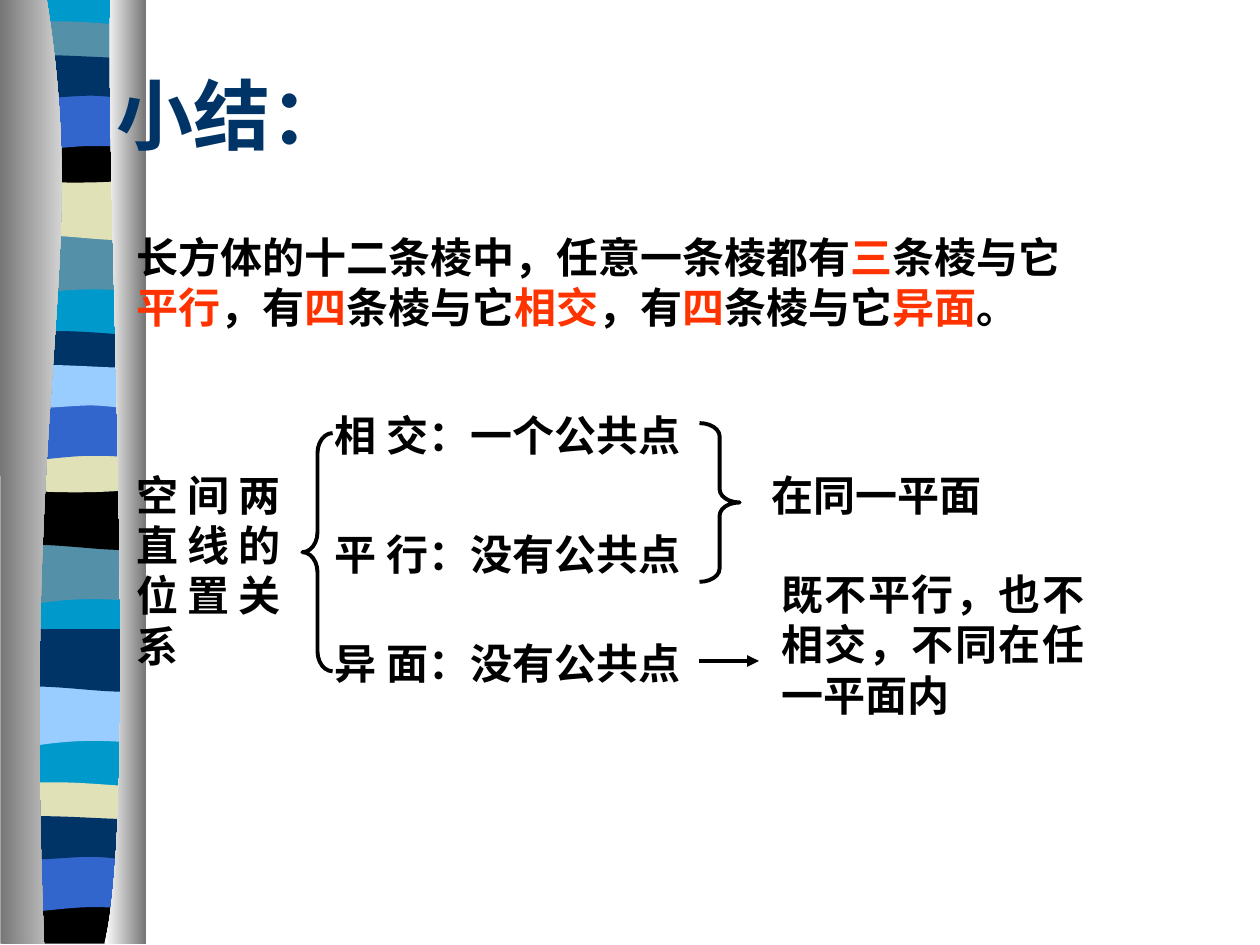
"""Builds the summary slide on the positions of two lines in space."""
from typing import NamedTuple

from lxml import etree
from pptx import Presentation
from pptx.dml.color import RGBColor
from pptx.enum.shapes import MSO_CONNECTOR, MSO_SHAPE
from pptx.enum.text import MSO_ANCHOR, MSO_AUTO_SIZE, PP_ALIGN
from pptx.oxml.ns import qn
from pptx.util import Pt

LEFT, JUSTIFY = PP_ALIGN.LEFT, PP_ALIGN.JUSTIFY
TOP, MIDDLE = MSO_ANCHOR.TOP, MSO_ANCHOR.MIDDLE
LEFT_BRACE, RIGHT_BRACE = MSO_SHAPE.LEFT_BRACE, MSO_SHAPE.RIGHT_BRACE
STRAIGHT = MSO_CONNECTOR.STRAIGHT
TITLE_ONLY = 5

FONT = "Times New Roman"
BLACK = RGBColor(0x00, 0x00, 0x00)
WHITE = RGBColor(0xFF, 0xFF, 0xFF)
GREY = RGBColor(0x76, 0x76, 0x76)
RED = RGBColor(0xFF, 0x33, 0x00)
NAVY = RGBColor(0x00, 0x33, 0x66)
BLUE = RGBColor(0x33, 0x66, 0xCC)
SKY = RGBColor(0x99, 0xCC, 0xFF)
CYAN = RGBColor(0x00, 0x99, 0xCC)
TEAL = RGBColor(0x54, 0x90, 0xA8)
SAND = RGBColor(0xE1, 0xE1, 0xB7)

RIBBON_X, RIBBON_W = 3.6, 78.5
UNITS = 100


class Band(NamedTuple):
    outline: list
    top: float
    color: RGBColor


class Label(NamedTuple):
    text: str
    x: float
    y: float
    w: float
    h: float


class Brace(NamedTuple):
    kind: int
    x: float
    y: float
    w: float
    h: float
    bend: float


W = RIBBON_W
SWELL = [[(W, 0)], [(W, 33.8)], [(24.5, 28.1), (13, 39.6), (0, 33.8)], [(0, 0)]]
ROLL = [[(W, 0)], [(W, 34)], [(65.5, 39.6), (24.5, 29.5), (0, 34)], [(0, 0)]]
LENS = [[(W, 3.6)], [(W, 20.9)], [(65.5, 24.5), (13, 24.5), (0, 20.9)], [(0, 3.6)],
        [(5, 0), (17.3, 0.7), (30.2, 0.7)], [(43.2, 0.7), (68.4, 2.9), (W, 3.6)]]
BOWL = [[(W, 0)], [(W, 23.8)], [(65.5, 27.4), (13.7, 27.4), (0, 23.8)], [(0, 0)],
        [(47.5, 3.6), (62.6, 0), (W, 0)]]
FOOT = [[(W, 0)], [(W, 26.6)], [(1, 26.6)], [(0, 0)], [(47.5, 3.6), (62.6, 0), (W, 0)]]
ARCH = [[(W, 0)], [(W, 33.8)], [(66.2, 30.2), (61.2, 30.2), (48.2, 30.2)],
        [(35.3, 30.2), (12.2, 33.8), (0, 33.8)], [(0, 0)]]
RIPPLE = [[(W, 3.6)], [(W, 25.2)], [(73.4, 28.8), (61.2, 25.2), (48.2, 25.2)],
          [(35.3, 25.2), (8.6, 28.8), (0, 25.2)], [(0, 3.6)],
          [(11.5, 0), (53.3, 3.6), (66.2, 3.6)], [(79.2, 3.6), (76, 3.6), (W, 3.6)]]
BACKING = [[(W, 0)], [(W, 538.6)], [(0, 538.6)], [(0, 0)]]

OFFSETS = [133.2, 101.5, 11.5, 77.8, 53.3, 29.5]
CYCLES = [
    (BOWL, [0] * 6, [TEAL, SAND, TEAL, BLACK, BLUE, NAVY]),
    (BOWL, [177] * 6, [TEAL, BLACK, NAVY, SAND, BLUE, SKY]),
    (FOOT, [258] * 2 + [434.9] * 4, [SKY, NAVY, SAND, BLACK, BLUE, NAVY]),
]
BANDS = [Band(BACKING, -0.7, CYAN)] + [
    Band(shape, offset + shift, color)
    for bowl, shifts, colors in CYCLES
    for shape, offset, shift, color in zip(
        [SWELL, ROLL, LENS, bowl, ARCH, RIPPLE], OFFSETS, shifts, colors)
]
LEFT_PANEL = [[(26.6, -0.7)], [(51.8, 155.5), (12.2, 213.1), (25.2, 539.3)],
              [(0.3, 539.3)], [(0, -0.7)]]
RIGHT_PANEL = [[(63.2, -0.7)], [(59.6, 90), (79.9, 465.1), (59.6, 539.3)],
               [(83.3, 539.3)], [(83.3, 0)]]

LABELS = [
    Label("空间两直线的位置关系", 71, 264.5, 96.5, 96.5),
    Label("相 交：一个公共点", 184.3, 230.4, 221, 45.4),
    Label("平 行：没有公共点", 184.3, 298.5, 215.3, 33.8),
    Label("异 面：没有公共点", 184.3, 360.7, 215.3, 39.6),
    Label("在同一平面", 433.8, 264.5, 147.6, 33.8),
    Label("既不平行，也不相交，不同在任一平面内", 439.5, 321.2, 187.2, 96.5),
]
BRACES = [
    Brace(LEFT_BRACE, 172.8, 247.5, 17.3, 136.1, 0.66),
    Brace(RIGHT_BRACE, 399.7, 241.8, 23, 90.7, 0.33),
]
SUMMARY = [
    ("长方体的十二条棱中，任意一条棱都有", BLACK), ("三", RED), ("条棱与它", BLACK),
    ("平行", RED), ("，有", BLACK), ("四", RED), ("条棱与它", BLACK), ("相交", RED),
    ("，有", BLACK), ("四", RED), ("条棱与它", BLACK), ("异面", RED), ("。", BLACK),
]


def add_outline(s, outline: list, x: float = 0, y: float = 0):
    """Draw a closed borderless outline; a step of three points is a Bezier curve."""
    pts = [((x + px) * UNITS, (y + py) * UNITS) for step in outline for px, py in step]
    fb = s.shapes.build_freeform(*pts[0], scale=Pt(1) / UNITS)
    fb.add_line_segments(pts[1:], close=True)
    sp = fb.convert_to_shape()
    lines = iter(list(sp.element.iter(qn("a:lnTo"))))
    for step in outline[1:]:
        first, *rest = [next(lines) for _ in step]
        if rest:
            curve = etree.Element(qn("a:cubicBezTo"))
            first.addprevious(curve)
            for line in (first, *rest):
                curve.append(line[0])
                line.getparent().remove(line)
    sp.shadow.inherit = False
    sp.line.fill.background()
    return sp


def add_panel(s, outline: list, start: RGBColor, end: RGBColor) -> None:
    """Draw a panel shaded from left to right."""
    fill = add_outline(s, outline).fill
    fill.gradient()
    fill.gradient_angle = 0
    for stop, color in zip(fill.gradient_stops, (start, end)):
        stop.color.rgb = color


def write(sp, runs: list, *, size: float = 24, align=JUSTIFY, anchor=TOP) -> None:
    """Fill a shape with one paragraph of bold coloured runs."""
    tf = sp.text_frame
    tf.word_wrap = True
    tf.auto_size = MSO_AUTO_SIZE.NONE
    tf.vertical_anchor = anchor
    p = tf.paragraphs[0]
    p.alignment = align
    for text, color in runs:
        r = p.add_run()
        r.text = text
        r.font.name, r.font.size, r.font.bold = FONT, Pt(size), True
        r.font.color.rgb = color


def add_brace(s, brace: Brace) -> None:
    """Draw a curly brace."""
    sp = s.shapes.add_shape(brace.kind, *map(Pt, brace[1:5]))
    sp.adjustments[0] = brace.bend
    sp.shadow.inherit = False
    sp.fill.background()
    sp.line.color.rgb, sp.line.width = BLACK, Pt(2.25)


def add_arrow(s, x1: float, y1: float, x2: float, y2: float) -> None:
    """Draw a straight arrow."""
    sp = s.shapes.add_connector(STRAIGHT, Pt(x1), Pt(y1), Pt(x2), Pt(y2))
    sp.line.color.rgb, sp.line.width = BLACK, Pt(2.25)
    etree.SubElement(sp.line._get_or_add_ln(), qn("a:tailEnd"), type="triangle")
    etree.SubElement(sp.element.spPr, qn("a:effectLst"))


def main() -> None:
    """Build and save the slide."""
    prs = Presentation()
    prs.slide_width, prs.slide_height = Pt(720), Pt(540)
    s = prs.slides.add_slide(prs.slide_layouts[TITLE_ONLY])
    for band in BANDS:
        sp = add_outline(s, band.outline, RIBBON_X, band.top)
        sp.fill.solid()
        sp.fill.fore_color.rgb = band.color
    add_panel(s, LEFT_PANEL, GREY, WHITE)
    add_panel(s, RIGHT_PANEL, WHITE, GREY)

    title = s.shapes.title
    title.left, title.top, title.width, title.height = map(Pt, (59.5, 20.2, 357.1, 90))
    write(title, [("小结：", NAVY)], size=44, align=LEFT, anchor=MIDDLE)
    title.element.getparent().append(title.element)

    for brace in BRACES:
        add_brace(s, brace)
    for label in LABELS:
        write(s.shapes.add_textbox(*map(Pt, label[1:])), [(label.text, BLACK)])
    add_arrow(s, 399.7, 377.7, 433.7, 377.7)
    write(s.shapes.add_textbox(Pt(71), Pt(128.5), Pt(550), Pt(64.8)), SUMMARY, align=LEFT)
    prs.save("out.pptx")


if __name__ == "__main__":
    main()
